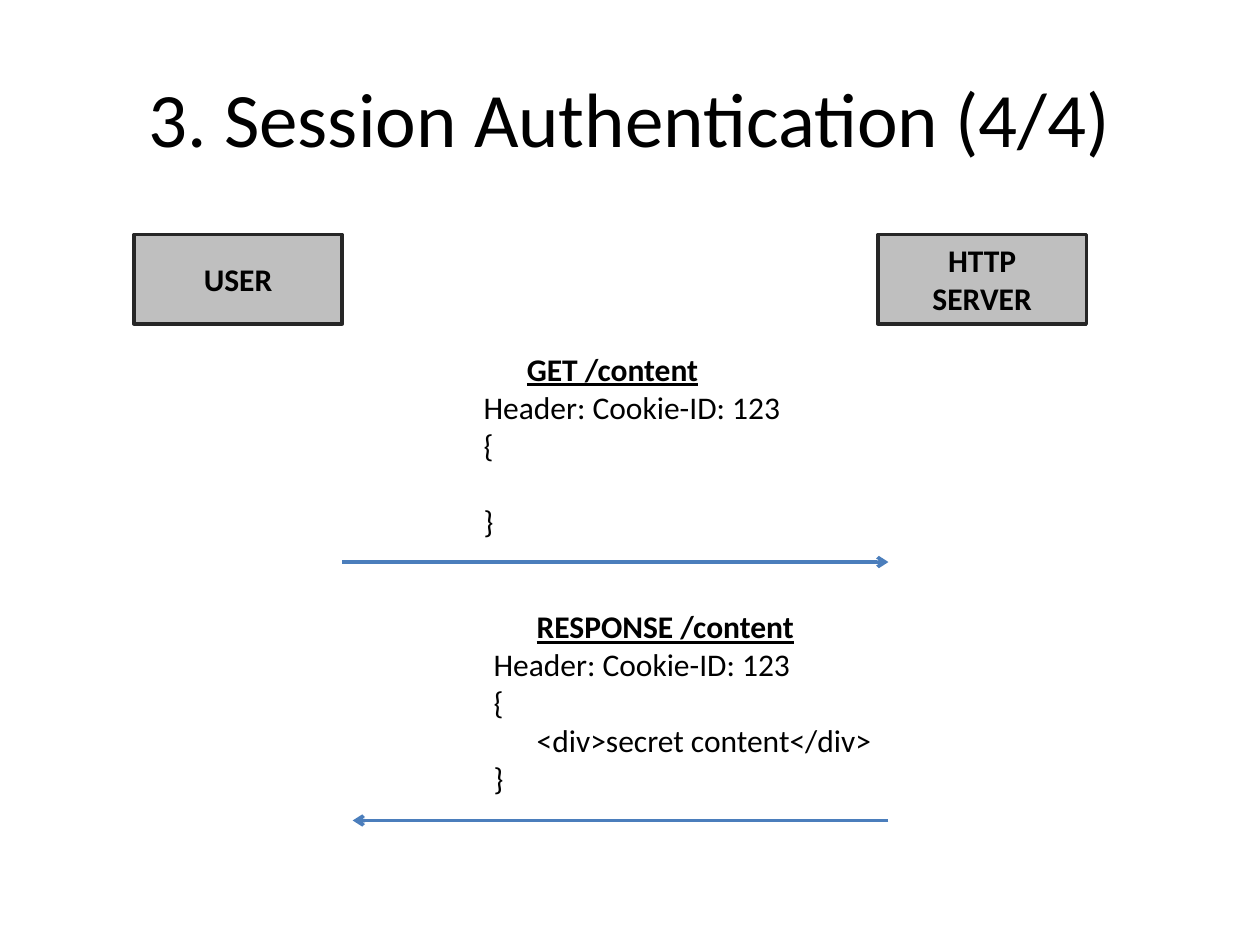
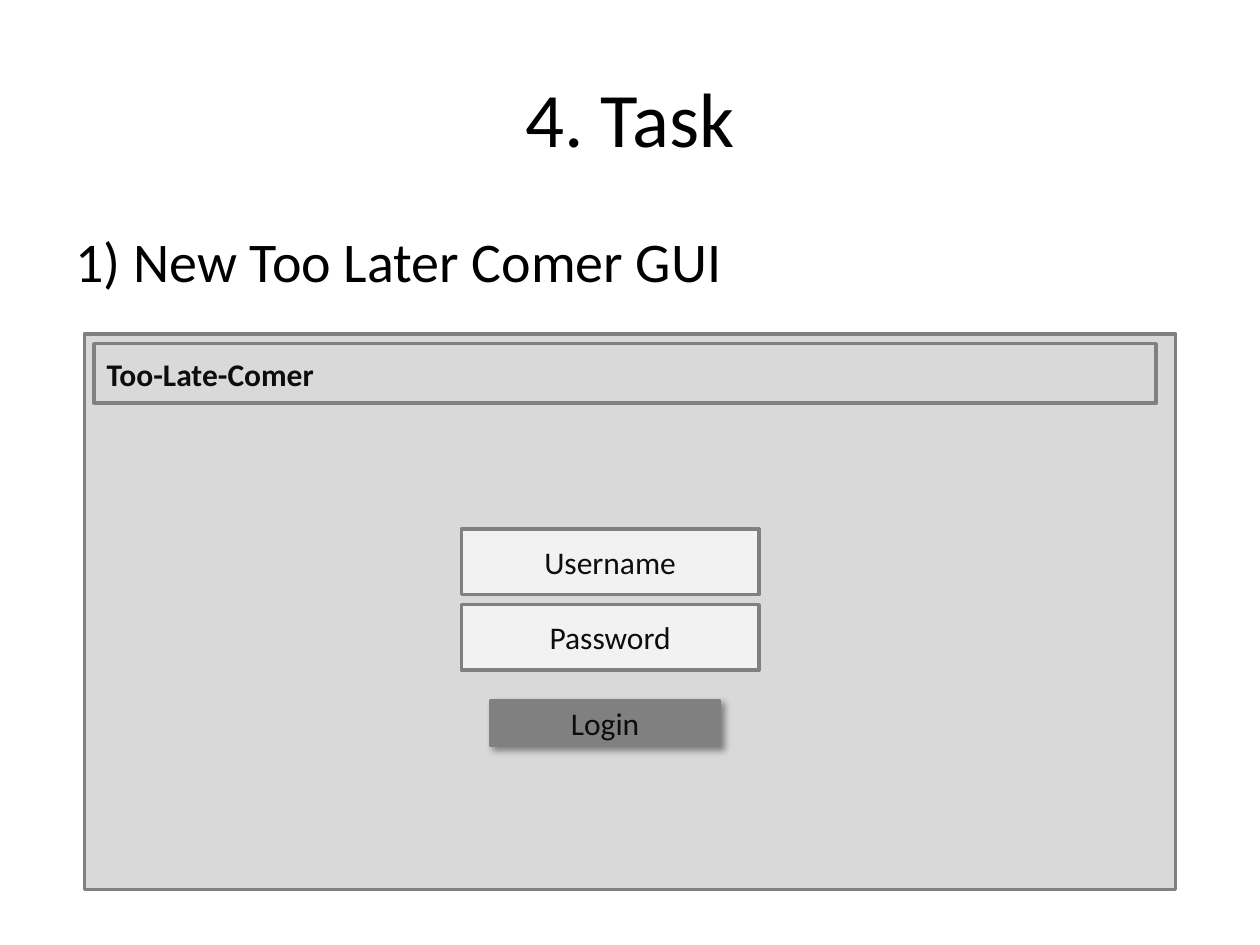
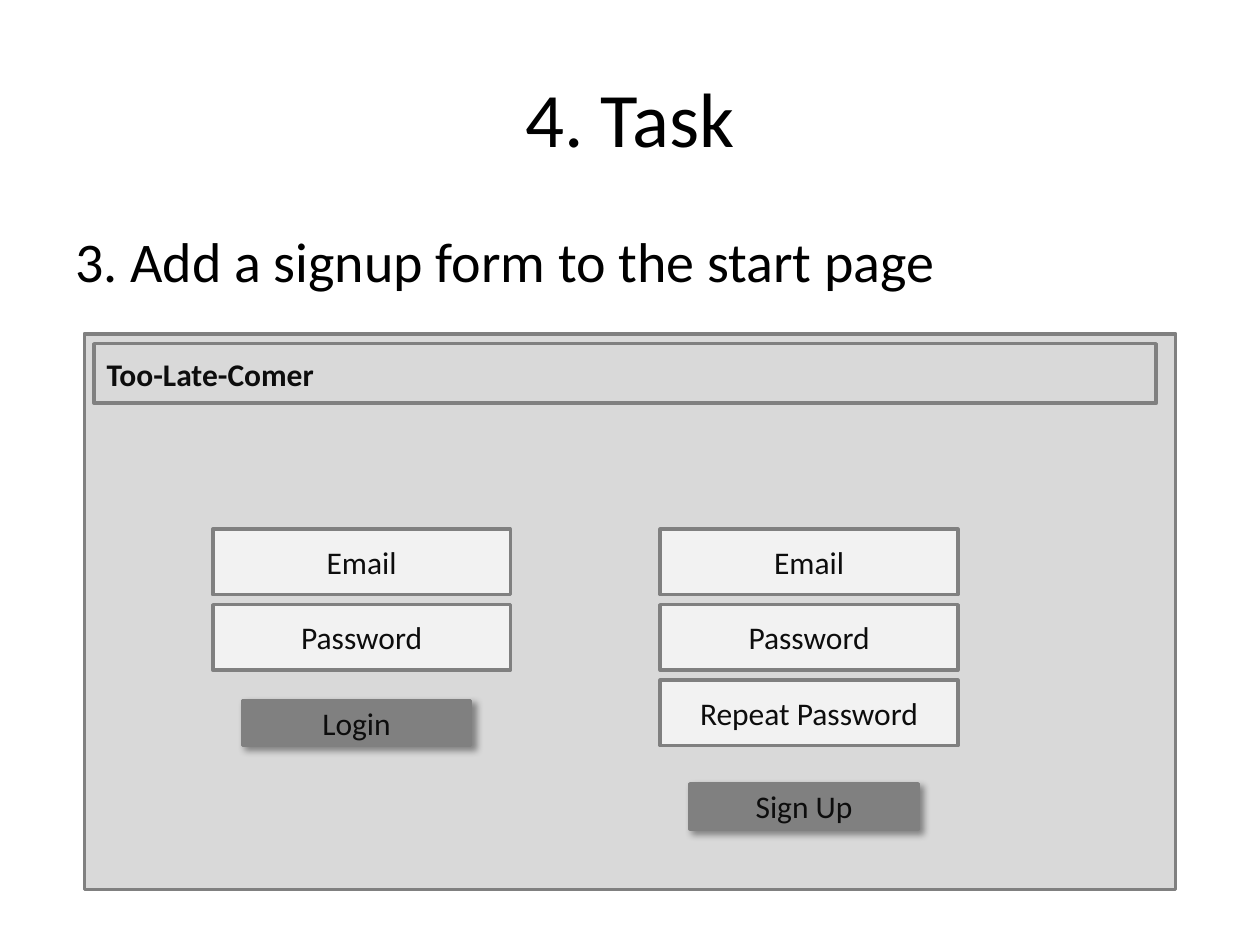
"""Build three slides on session authentication and its login and signup task."""
from dataclasses import dataclass, field

from lxml.etree import SubElement
from pptx import Presentation
from pptx.dml.color import RGBColor as RGB
from pptx.enum.shapes import MSO_CONNECTOR as CONN, MSO_SHAPE as SHAPE
from pptx.enum.text import MSO_ANCHOR as ANCHOR, PP_ALIGN as ALIGN
from pptx.oxml.ns import qn
from pptx.slide import Slide
from pptx.text.text import TextFrame
from pptx.util import Cm, Pt

COLORS = {
    "text": "000000", "ui_text": "0D0D0D", "party": "BFBFBF", "party_line": "262626",
    "arrow": "4B7EBC", "window": "D9D9D9", "field": "F2F2F2", "ui_line": "808080",
    "shadow": "000000",
}
BASE = {"name": "Calibri", "size": Pt(18)}
TITLE = BASE | {"size": Pt(44)}
BODY = BASE | {"size": Pt(32)}
BOLD = BASE | {"bold": True}
HEADING = BOLD | {"underline": True}
INDENT = Cm(0.87)
BLANK_LINE = Pt(22)
FIELD_TOP, FIELD_STEP = 10.67, 1.52
FIELD_W, FIELD_H = 6, 1.32
BUTTON_INSET, BUTTON_W, BUTTON_H = 0.6, 4.6, 0.91


@dataclass(frozen=True)
class Line:
    text: str
    fmt: dict = field(default_factory=lambda: BASE)
    indent: int = 0
    before: int = 0


@dataclass(frozen=True)
class Box:
    left: float
    top: float
    width: float
    height: float
    lines: tuple[Line, ...] = ()
    align: ALIGN = ALIGN.CENTER
    anchor: ANCHOR = ANCHOR.MIDDLE
    fill: str = "window"
    line: str = "ui_line"
    color: str = "ui_text"
    shadow: bool = False

    def place(self) -> tuple[Cm, ...]:
        return tuple(Cm(v) for v in (self.left, self.top, self.width, self.height))


@dataclass(frozen=True)
class Message:
    text: Box
    start: float
    end: float
    y: float


@dataclass(frozen=True)
class Form:
    left: float
    fields: tuple[str, ...]
    button: str
    button_top: float


@dataclass(frozen=True)
class Task:
    heading: str
    forms: tuple[Form, ...]


def rgb(name: str) -> RGB:
    return RGB.from_string(COLORS[name])


def write(tf: TextFrame, box: Box) -> None:
    tf.word_wrap, tf.vertical_anchor = True, box.anchor
    for i, line in enumerate(box.lines):
        p = tf.add_paragraph() if i else tf.paragraphs[0]
        p.alignment = box.align
        if line.indent:
            p._p.get_or_add_pPr().set("marL", str(line.indent))
        if line.before:
            p.space_before = line.before
        r = p.add_run()
        r.text = line.text
        for key, value in line.fmt.items():
            setattr(r.font, key, value)
        r.font.color.rgb = rgb(box.color)


def add_text(s: Slide, box: Box) -> None:
    write(s.shapes.add_textbox(*box.place()).text_frame, box)


def add_box(s: Slide, box: Box) -> None:
    sp = s.shapes.add_shape(SHAPE.RECTANGLE, *box.place())
    sp.shadow.inherit = False
    sp.fill.solid()
    sp.fill.fore_color.rgb = rgb(box.fill)
    sp.line.color.rgb, sp.line.width = rgb(box.line), Pt(2)
    if box.shadow:
        effects = sp._element.spPr.find(qn("a:effectLst"))
        outer = SubElement(effects, qn("a:outerShdw"), blurRad=str(Pt(4)), dist=str(Pt(3)),
                           dir="2700000", algn="tl", rotWithShape="0")
        color = SubElement(outer, qn("a:srgbClr"), val=COLORS["shadow"])
        SubElement(color, qn("a:alpha"), val="40000")
    write(sp.text_frame, box)


def add_arrow(s: Slide, start: float, end: float, y: float) -> None:
    cx = s.shapes.add_connector(CONN.STRAIGHT, Cm(start), Cm(y), Cm(end), Cm(y))
    cx.line.color.rgb, cx.line.width = rgb("arrow"), Pt(2)
    SubElement(cx.line._get_or_add_ln(), qn("a:tailEnd"), type="arrow")
    SubElement(cx._element.spPr, qn("a:effectLst"))


def add_slide(prs: Presentation, title: str) -> Slide:
    s = prs.slides.add_slide(prs.slide_layouts[6])
    add_text(s, Box(1.27, 0.76, 22.86, 3.18, (Line(title, TITLE),), color="text"))
    return s


def message_box(left: float, top: float, width: float, lines: tuple[Line, ...]) -> Box:
    return Box(left, top, width, 4.11, lines, ALIGN.LEFT, ANCHOR.TOP, color="text")


def add_session_slide(prs: Presentation) -> None:
    s = add_slide(prs, "3. Session Authentication (4/4)")
    for left, words in ((2.7, ("USER",)), (17.7, ("HTTP", "SERVER"))):
        add_box(s, Box(left, 4.73, 4.2, 1.8, tuple(Line(w, BOLD) for w in words),
                       fill="party", line="party_line", color="text"))
    header = (Line("Header: Cookie-ID: 123"), Line("{"))
    request = (Line("GET /content", HEADING, INDENT), *header, Line("}", before=BLANK_LINE))
    response = (Line("RESPONSE /content", HEADING, INDENT), *header,
                Line("<div>secret content</div>", indent=INDENT), Line("}"))
    for m in (Message(message_box(9.5, 6.93, 6.58, request), 6.9, 17.91, 11.33),
              Message(message_box(9.7, 12.12, 8.23, response), 17.91, 7.11, 16.54)):
        add_arrow(s, m.start, m.end, m.y)
        add_text(s, m.text)


def add_form(s: Slide, form: Form) -> None:
    for i, label in enumerate(form.fields):
        add_box(s, Box(form.left, FIELD_TOP + i * FIELD_STEP, FIELD_W, FIELD_H,
                       (Line(label),), fill="field"))
    add_box(s, Box(form.left + BUTTON_INSET, form.button_top, BUTTON_W, BUTTON_H,
                   (Line(form.button),), fill="ui_line", shadow=True))


def add_task_slide(prs: Presentation, task: Task) -> None:
    s = add_slide(prs, "4. Task")
    add_text(s, Box(1.27, 4.45, 22.86, 1.68, (Line(task.heading, BODY),),
                    ALIGN.LEFT, ANCHOR.TOP, color="text"))
    add_box(s, Box(1.7, 6.73, 22, 11.2))
    add_box(s, Box(1.9, 6.93, 21.41, 1.2, (Line("Too-Late-Comer", BOLD),), ALIGN.LEFT))
    for form in task.forms:
        add_form(s, form)


def main() -> None:
    prs = Presentation()
    prs.slide_width, prs.slide_height = Cm(25.4), Cm(19.05)
    add_session_slide(prs)
    tasks = (
        Task("1) New Too Later Comer GUI",
             (Form(9.3, ("Username", "Password"), "Login", 14.12),)),
        Task("3. Add a signup form to the start page",
             (Form(4.29, ("Email", "Password"), "Login", 14.12),
              Form(13.31, ("Email", "Password", "Repeat Password"), "Sign Up", 15.8))),
    )
    for task in tasks:
        add_task_slide(prs, task)
    prs.save("out.pptx")


if __name__ == "__main__":
    main()
